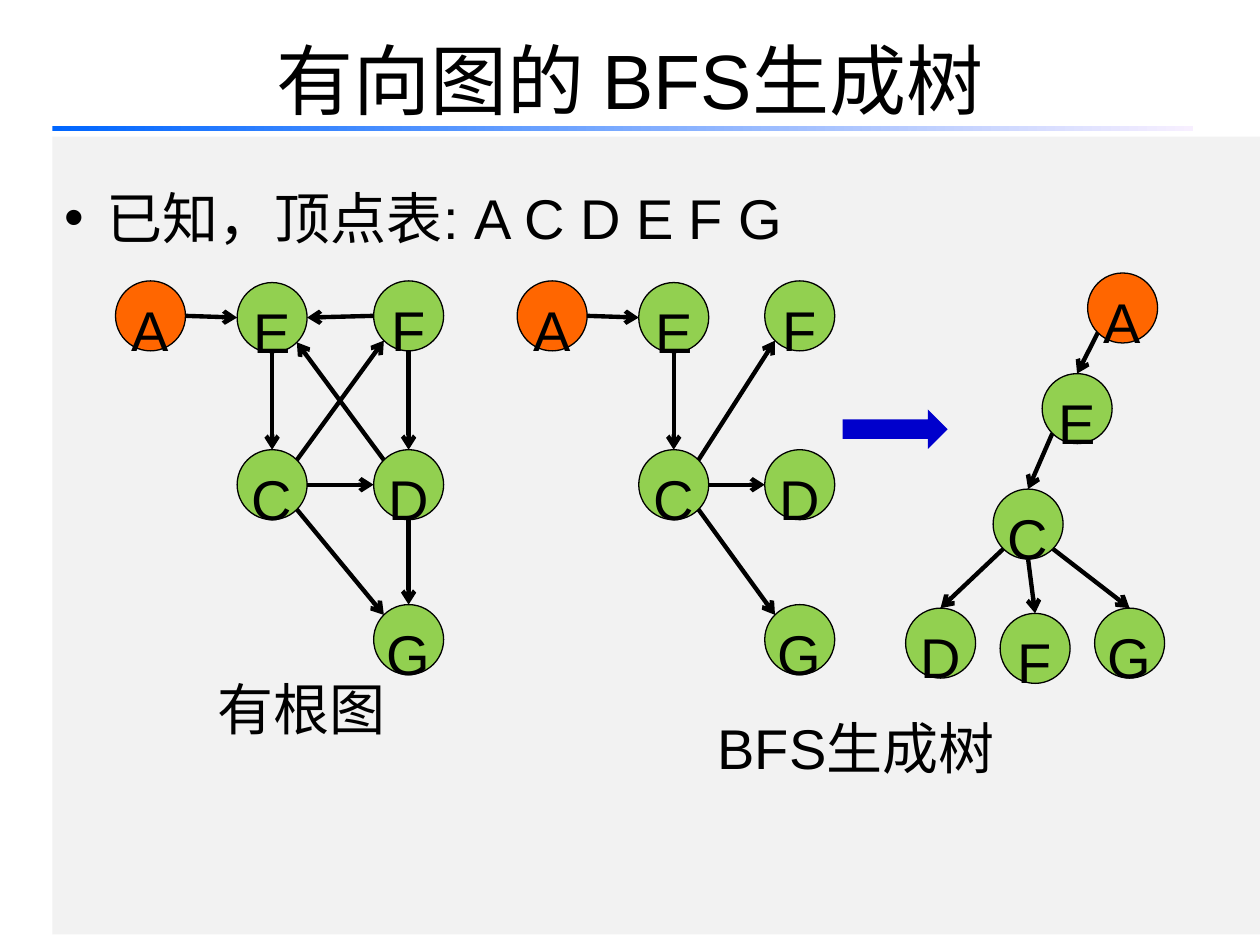
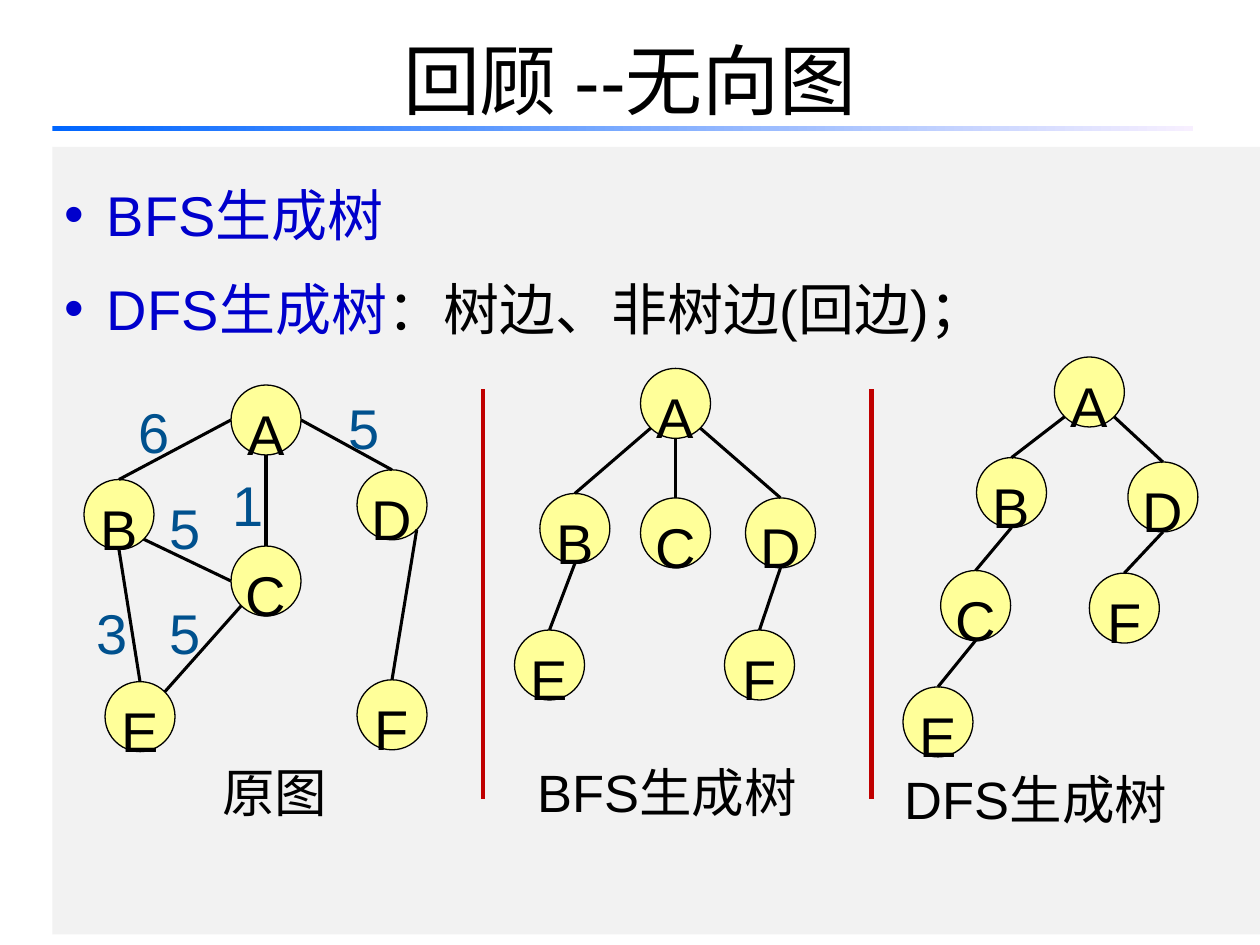
import math

from lxml import etree
from pptx import Presentation
from pptx.dml.color import RGBColor
from pptx.enum import shapes, text
from pptx.oxml.ns import qn
from pptx.util import Pt

FONT = "Arial"
BLACK = RGBColor(0x00, 0x00, 0x00)
PANEL = RGBColor(0xF2, 0xF2, 0xF2)
BAR_START = RGBColor(0x00, 0x66, 0xFF)
BAR_END = RGBColor(0xF7, 0xEF, 0xFF)
BLUE = RGBColor(0x00, 0x00, 0xCC)
ORANGE = RGBColor(0xFF, 0x66, 0x00)
GREEN = RGBColor(0x92, 0xD0, 0x50)
YELLOW = RGBColor(0xFF, 0xFF, 0x99)
WEIGHT = RGBColor(0x00, 0x51, 0x8E)
RED = RGBColor(0xC0, 0x00, 0x00)

NODE = 40
PORTS = ["n", "nw", "w", "sw", "s", "se", "e", "ne"]
TITLE = {"size": Pt(44), "name": FONT}
BODY = {"size": Pt(32), "name": FONT}
CAPTION = {"size": Pt(30), "name": FONT}


def apply(target, values):
    for key, value in values.items():
        setattr(target, key, value)


def add_run(p, words, fmt, color=BLACK):
    r = p.add_run()
    r.text = words
    apply(r.font, fmt)
    r.font.color.rgb = color


def add_shape(s, kind, x, y, w, h, color=None):
    sp = s.shapes.add_shape(kind, Pt(x), Pt(y), Pt(w), Pt(h))
    sp.shadow.inherit = False
    sp.line.fill.background()
    if color is not None:
        sp.fill.solid()
        sp.fill.fore_color.rgb = color
    return sp


def add_text(s, words, x, y, w, h, fmt=BODY, color=BLACK, **frame):
    tf = s.shapes.add_textbox(Pt(x), Pt(y), Pt(w), Pt(h)).text_frame
    apply(tf, {"word_wrap": True, "margin_top": Pt(6), **frame})
    add_run(tf.paragraphs[0], words, fmt, color)
    return tf


def add_panel(s, top, spacing, bullets):
    sp = add_shape(s, shapes.MSO_SHAPE.RECTANGLE, 30, top, 690, 534 - top, PANEL)
    tf = sp.text_frame
    tf.vertical_anchor = text.MSO_ANCHOR.TOP
    for i, runs in enumerate(bullets):
        p = tf.add_paragraph() if i else tf.paragraphs[0]
        apply(p, {"alignment": text.PP_ALIGN.LEFT, "line_spacing": spacing})
        pPr = p._p.get_or_add_pPr()
        pPr.set("marL", str(Pt(24)))
        pPr.set("indent", str(-Pt(24)))
        etree.SubElement(pPr, qn("a:buFont"), typeface=FONT)
        etree.SubElement(pPr, qn("a:buChar"), char="•")
        for words, color in runs:
            add_run(p, words, BODY, color)


def add_title(s, words):
    tf = add_text(s, words, 36, 0, 648, 90, TITLE, margin_top=Pt(3.6),
                  vertical_anchor=text.MSO_ANCHOR.MIDDLE)
    tf.paragraphs[0].alignment = text.PP_ALIGN.CENTER
    bar = add_shape(s, shapes.MSO_SHAPE.RECTANGLE, 30, 72, 652, 3)
    bar.fill.gradient()
    bar.fill.gradient_angle = 0
    for stop, color in zip(bar.fill.gradient_stops, (BAR_START, BAR_END)):
        stop.color.rgb = color


def add_node(s, name, x, y, color):
    sp = add_shape(s, shapes.MSO_SHAPE.OVAL, x, y, NODE, NODE, color)
    sp.line.color.rgb = BLACK
    sp.line.width = Pt(0.75)
    tf = sp.text_frame
    apply(tf, {"word_wrap": False, "margin_top": Pt(9),
               "vertical_anchor": text.MSO_ANCHOR.MIDDLE})
    p = tf.paragraphs[0]
    apply(p, {"alignment": text.PP_ALIGN.CENTER, "line_spacing": 1.25})
    add_run(p, name, BODY)
    return sp


def add_line(s, start, end, width, color=BLACK, arrow=False):
    c = s.shapes.add_connector(shapes.MSO_CONNECTOR.STRAIGHT,
                               *(Pt(v) for v in (*start, *end)))
    c.line.color.rgb = color
    c.line.width = Pt(width)
    if arrow:
        etree.SubElement(c.line._get_or_add_ln(), qn("a:tailEnd"), type="arrow")
    etree.SubElement(c._element.spPr, qn("a:effectLst"))
    return c


def port_point(position, site):
    angle = math.radians(45 * site)
    x, y = position
    half = NODE / 2
    return x + half - half * math.sin(angle), y + half - half * math.cos(angle)


def add_graph(s, places, edges, color, width, root_color=None, arrow=False):
    nodes = {}
    for name, (x, y) in places.items():
        fill = root_color if root_color and name == "A" else color
        nodes[name] = add_node(s, name, x, y, fill)
    for edge in edges.split():
        ends = [end.split(":") for end in edge.split("-")]
        joins = [(name, PORTS.index(port)) for name, port in ends]
        points = [port_point(places[name], site) for name, site in joins]
        c = add_line(s, *points, width, arrow=arrow)
        props = c._element.nvCxnSpPr.cNvCxnSpPr
        for tag, (name, site) in zip(("a:stCxn", "a:endCxn"), joins):
            etree.SubElement(props, qn(tag), id=str(nodes[name].shape_id), idx=str(site))


def directed_slide(s):
    add_panel(s, 78, 1.6, [[("已知，顶点表: A C D E F G", BLACK)]])
    add_title(s, "有向图的 BFS生成树")
    style = {"color": GREEN, "width": 2.5, "root_color": ORANGE, "arrow": True}
    rooted = {"A": (66, 160.5), "E": (135.5, 161.5), "F": (213.5, 160.5),
              "C": (135.5, 257), "D": (213.5, 257), "G": (213.5, 345.5)}
    add_graph(s, rooted, "A:e-E:w D:nw-E:se E:s-C:n C:e-D:w C:ne-F:sw "
              "F:w-E:e D:s-G:n C:se-G:nw F:s-D:n", **style)
    spanning = {"A": (295.5, 160.5), "E": (365, 161.5), "F": (437, 160.5),
                "C": (365, 257), "D": (437, 257), "G": (437, 345.5)}
    add_graph(s, spanning, "A:e-E:w E:s-C:n C:e-D:w C:ne-F:sw C:se-G:nw", **style)
    tree = {"A": (621.5, 156), "E": (595.5, 213.5), "C": (567.5, 279.5),
            "D": (517.5, 347.5), "F": (571.5, 350.5), "G": (625.5, 347.5)}
    add_graph(s, tree, "A:sw-E:n E:sw-C:n C:sw-D:n C:s-F:n C:se-G:n", **style)
    add_shape(s, shapes.MSO_SHAPE.RIGHT_ARROW, 481.5, 234, 60, 22.5, BLUE)
    add_text(s, "有根图", 117, 379.5, 156, 50)
    add_text(s, "BFS生成树", 403, 402, 180, 55)


def undirected_slide(s):
    add_panel(s, 84, 1.4, [[("BFS生成树", BLUE)],
                           [("DFS生成树", BLUE), ("：树边、非树边(回边)；", BLACK)]])
    add_title(s, "回顾 --无向图")
    style = {"color": YELLOW, "width": 1.75}
    graph = {"A": (132, 220), "B": (48, 274), "C": (132, 312),
             "D": (204, 268.5), "E": (60, 389.5), "F": (204, 388.5)}
    add_graph(s, graph, "D:se-F:n E:ne-C:sw A:s-C:n B:se-C:w B:s-E:n "
              "A:w-B:n A:e-D:n", **style)
    bfs = {"A": (366, 210.5), "B": (308.5, 282), "C": (366, 284.5),
           "D": (426, 284.5), "E": (294, 360), "F": (414, 360)}
    add_graph(s, bfs, "A:s-C:n B:s-E:n F:n-D:s A:sw-B:n A:se-D:n", **style)
    dfs = {"A": (602.5, 204), "B": (558, 261.5), "C": (537.5, 326),
           "D": (644.5, 264), "E": (516, 392.5), "F": (622.5, 327.5)}
    add_graph(s, dfs, "D:s-F:n B:s-C:n D:n-A:se A:sw-B:n C:s-E:n", **style)
    weights = [("6", 72, 221), ("5", 192, 219), ("5", 90, 276),
               ("1", 126, 263), ("3", 48, 336), ("5", 90, 336)]
    for weight, x, y in weights:
        add_text(s, weight, x, y, 54, 51, color=WEIGHT)
    for x in (276, 498):
        add_line(s, (x, 222.5), (x, 456.5), 2.5, RED)
    captions = [("原图", 120, 428.5, 96), ("BFS生成树", 300, 428.5, 174),
                ("DFS生成树", 510, 432, 210)]
    for words, x, y, w in captions:
        add_text(s, words, x, y, w, 48, CAPTION)


def main():
    prs = Presentation()
    apply(prs, {"slide_width": Pt(720), "slide_height": Pt(540)})
    for build in (directed_slide, undirected_slide):
        build(prs.slides.add_slide(prs.slide_layouts[6]))
    prs.save("out.pptx")


if __name__ == "__main__":
    main()
